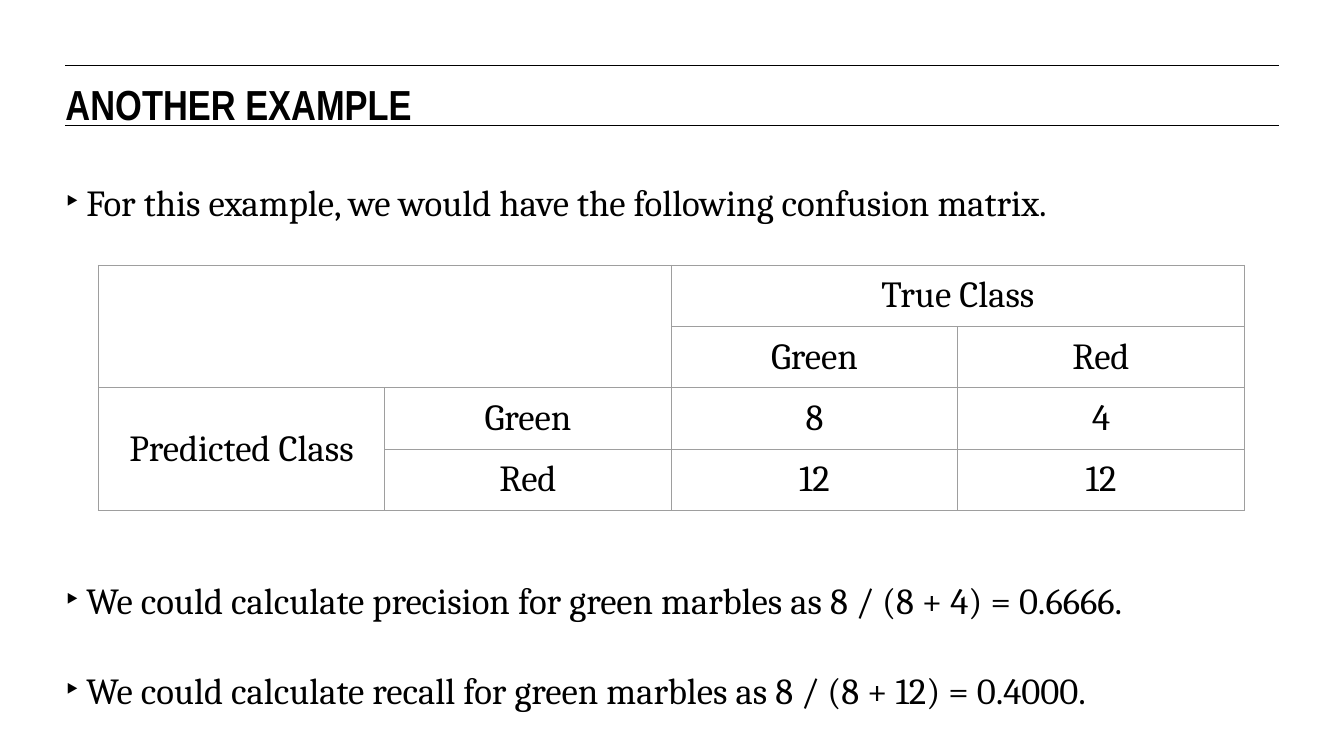
import pptx
import pptx.dml.color
import pptx.enum.shapes
import pptx.enum.text
import pptx.oxml
import pptx.oxml.ns
import pptx.util
import lxml.etree

Cm = pptx.util.Cm
Pt = pptx.util.Pt
BLACK = pptx.dml.color.RGBColor(0x00, 0x00, 0x00)
GRID_GREY = pptx.dml.color.RGBColor(0x9E, 0x9E, 0x9E)

BULLETS = [
    ("For this example, we would have the following confusion matrix.", 0),
    ("We could calculate precision for green marbles as 8 / (8 + 4) = 0.6666.", 270),
    ("We could calculate recall for green marbles as 8 / (8 + 12) = 0.4000.", 35),
]
MATRIX = [
    ["", "", "True Class", ""],
    ["", "", "Green", "Red"],
    ["Predicted Class", "Green", "8", "4"],
    ["", "Red", "12", "12"],
]
MERGES = [((0, 0), (1, 1)), ((0, 2), (0, 3)), ((2, 0), (3, 0))]


def format_runs(paragraph, font_name, size, bold=False):
    """Give every run of a paragraph the same black font."""
    for run in paragraph.runs:
        run.font.name = font_name
        run.font.size = Pt(size)
        run.font.bold = bold
        run.font.color.rgb = BLACK


def place_placeholder(shape, left, top, width, height):
    """Move a placeholder and give it a plain, top-anchored text frame."""
    shape.left, shape.top, shape.width, shape.height = left, top, width, height
    frame = shape.text_frame
    frame.margin_left = frame.margin_right = frame.margin_top = frame.margin_bottom = 0
    frame.word_wrap = True
    frame.auto_size = pptx.enum.text.MSO_AUTO_SIZE.NONE
    frame.vertical_anchor = pptx.enum.text.MSO_ANCHOR.TOP
    return frame


def add_heading(slide, left, top, width, height):
    """Place the title between two horizontal rules."""
    for rule_top in (top, top + height):
        rule = slide.shapes.add_connector(
            pptx.enum.shapes.MSO_CONNECTOR.STRAIGHT, left, rule_top, left + width, rule_top)
        rule.line.color.rgb = BLACK
        rule.line.width = Pt(0.75)
        lxml.etree.SubElement(rule._element.spPr, pptx.oxml.ns.qn("a:effectLst"))
    frame = place_placeholder(slide.shapes.title, left, top + Cm(0.35), width, Cm(1.2))
    frame.text = "ANOTHER EXAMPLE"
    paragraph = frame.paragraphs[0]
    paragraph.alignment = pptx.enum.text.PP_ALIGN.LEFT
    format_runs(paragraph, "Arial Narrow", 32, bold=True)


def add_bullets(slide, left, top, width, height):
    """Fill the body with bullets, leaving room for the matrix."""
    frame = place_placeholder(slide.placeholders[1], left, top, width, height)
    frame.margin_top = Cm(1.25)
    frame.text = "\n".join(text for text, gap in BULLETS)
    for paragraph, (text, gap) in zip(frame.paragraphs, BULLETS):
        paragraph.space_before = Pt(gap)
        paragraph.alignment = pptx.enum.text.PP_ALIGN.LEFT
        format_runs(paragraph, "Cambria", 28)
        properties = paragraph._p.get_or_add_pPr()
        properties.set("marL", str(Cm(0.56)))
        properties.set("indent", str(Cm(-0.71)))
        bullet = lxml.etree.SubElement(properties, pptx.oxml.ns.qn("a:buChar"))
        bullet.set("char", "‣")


def set_borders(cell):
    """Draw a thin grey line on each side of a cell."""
    properties = cell._tc.get_or_add_tcPr()
    for side in ("lnL", "lnR", "lnT", "lnB"):
        properties.append(pptx.oxml.parse_xml(
            f'<a:{side} {pptx.oxml.ns.nsdecls("a")} w="{Pt(0.75)}"><a:solidFill>'
            f'<a:srgbClr val="{GRID_GREY}"/></a:solidFill></a:{side}>'))


def add_matrix(slide, left, top, width, height):
    """Build the confusion matrix with its merged headings."""
    table = slide.shapes.add_table(
        len(MATRIX), len(MATRIX[0]), left, top, width, height).table
    table.first_row = False
    table.horz_banding = False
    for row_index, row in enumerate(MATRIX):
        for column_index, text in enumerate(row):
            cell = table.cell(row_index, column_index)
            set_borders(cell)
            cell.fill.background()
            cell.margin_left = cell.margin_right = Cm(0.25)
            cell.margin_top = cell.margin_bottom = Cm(0.25)
            cell.vertical_anchor = pptx.enum.text.MSO_ANCHOR.MIDDLE
            cell.text_frame.text = text
            paragraph = cell.text_frame.paragraphs[0]
            paragraph.alignment = pptx.enum.text.PP_ALIGN.CENTER
            format_runs(paragraph, "Cambria", 28)
    for first, last in MERGES:
        table.cell(*first).merge(table.cell(*last))


def main():
    """Build and save the slide."""
    presentation = pptx.Presentation()
    presentation.slide_width = Cm(36.12)
    presentation.slide_height = Cm(20.3)
    slide = presentation.slides.add_slide(presentation.slide_layouts[1])
    left, width = Cm(1.76), Cm(32.6)
    add_heading(slide, left, Cm(1.75), width, Cm(1.63))
    add_bullets(slide, left, Cm(3.58), width, Cm(10.6))
    add_matrix(slide, left + Cm(0.88), Cm(7.13), Cm(30.8), Cm(6.6))
    presentation.save("out.pptx")


if __name__ == "__main__":
    main()
